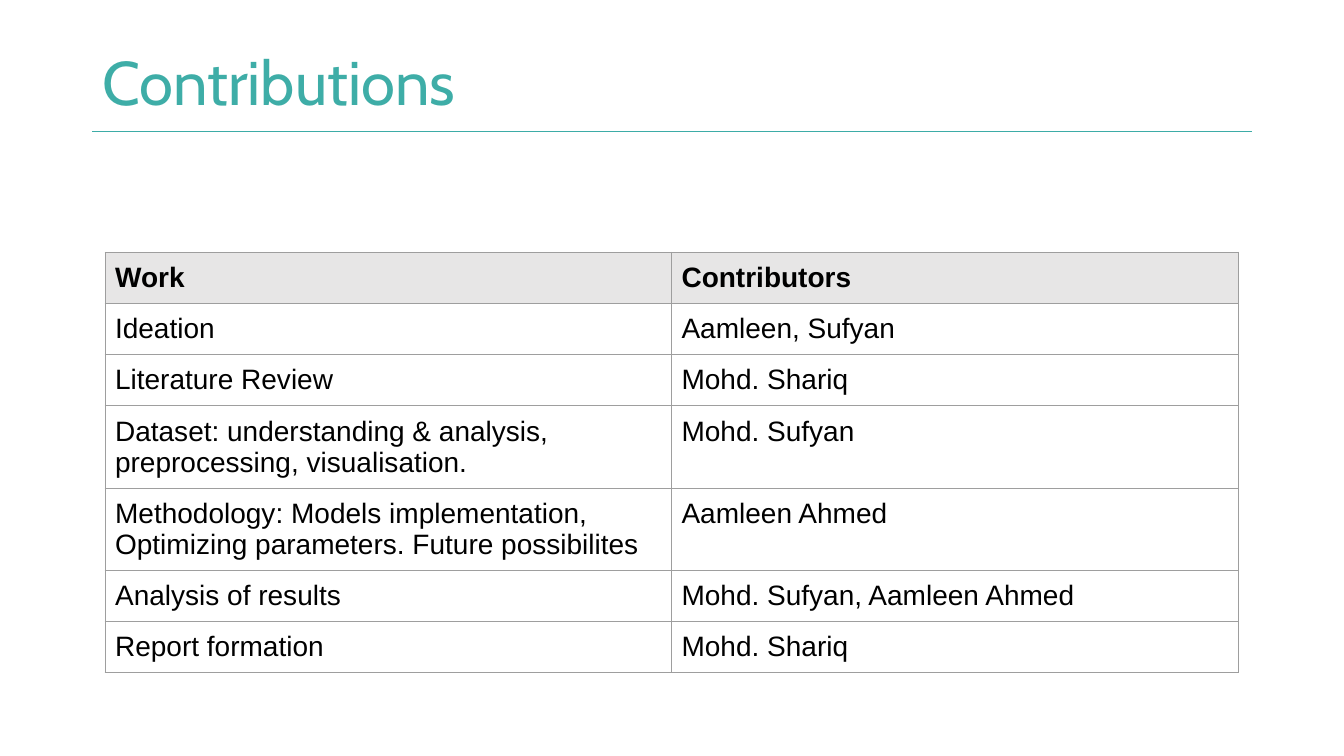
from lxml.etree import SubElement
from pptx import Presentation
from pptx.dml.color import RGBColor
from pptx.enum.shapes import MSO_CONNECTOR
from pptx.enum.text import MSO_ANCHOR, MSO_AUTO_SIZE, PP_ALIGN
from pptx.oxml.ns import qn
from pptx.util import Cm, Pt

COLOURS = {
    "title": "3EADA7",
    "rule": "3DACA7",
    "text": "000000",
    "header": "E7E6E6",
    "border": "9E9E9E",
}
CONTRIBUTIONS = [
    ("Work", "Contributors"),
    ("Ideation", "Aamleen, Sufyan"),
    ("Literature Review", "Mohd. Shariq"),
    ("Dataset: understanding & analysis, preprocessing, visualisation.", "Mohd. Sufyan"),
    ("Methodology: Models implementation, Optimizing parameters. Future possibilites",
     "Aamleen Ahmed"),
    ("Analysis of results", "Mohd. Sufyan, Aamleen Ahmed"),
    ("Report formation", "Mohd. Shariq"),
]


def colour(name):
    """Return the named colour of the palette."""
    return RGBColor.from_string(COLOURS[name])


def format_text(paragraph, typeface, size, colour_name, bold=False):
    """Format every run of a paragraph."""
    for run in paragraph.runs:
        run.font.name = typeface
        run.font.size = Pt(size)
        run.font.bold = bold
        run.font.color.rgb = colour(colour_name)


def add_heading(slide, left, top, width, height):
    """Fill the title placeholder and rule off the foot of the box."""
    rule = slide.shapes.add_connector(
        MSO_CONNECTOR.STRAIGHT, left, top + height, left + width, top + height)
    rule.line.color.rgb = colour("rule")
    rule.line.width = Pt(0.75)
    SubElement(rule._element.spPr, qn("a:effectLst"))

    title = slide.shapes.title
    title.left, title.top = left, top
    title.width, title.height = width - Cm(2.97), height
    frame = title.text_frame
    frame.text = "Contributions"
    frame.word_wrap = True
    frame.auto_size = MSO_AUTO_SIZE.NONE
    frame.vertical_anchor = MSO_ANCHOR.MIDDLE
    heading = frame.paragraphs[0]
    heading.alignment = PP_ALIGN.LEFT
    heading.line_spacing = 0.9
    format_text(heading, "Cabin", 44, "title")


def add_borders(cell):
    """Draw a thin line on all four sides of a cell."""
    properties = cell._tc.get_or_add_tcPr()
    for side in ("lnL", "lnR", "lnT", "lnB"):
        border = SubElement(properties, qn(f"a:{side}"), w=str(Pt(0.75)))
        fill = SubElement(border, qn("a:solidFill"))
        SubElement(fill, qn("a:srgbClr"), val=COLOURS["border"])


def format_cell(cell, is_header):
    """Give a cell its margins, borders, fill and text format."""
    cell.margin_left = cell.margin_right = Cm(0.25)
    cell.margin_top = cell.margin_bottom = Cm(0.25)
    add_borders(cell)
    if is_header:
        cell.fill.solid()
        cell.fill.fore_color.rgb = colour("header")
    else:
        cell.fill.background()
    format_text(cell.text_frame.paragraphs[0], "Arial", 20, "text", is_header)


def add_contributions(slide, left, top, width, height):
    """Place the table of work and contributors in the box."""
    table = slide.shapes.add_table(
        len(CONTRIBUTIONS), len(CONTRIBUTIONS[0]), left, top, width, height).table
    table.horz_banding = False
    for row, entry in enumerate(CONTRIBUTIONS):
        for column, wording in enumerate(entry):
            cell = table.cell(row, column)
            cell.text_frame.text = wording
            format_cell(cell, row == 0)


def main():
    """Build the contributions slide and save it."""
    presentation = Presentation()
    presentation.slide_width = Cm(33.87)
    presentation.slide_height = Cm(19.05)
    slide = presentation.slides.add_slide(presentation.slide_layouts[5])
    add_heading(slide, Cm(2.33), Cm(1.02), Cm(29.21), Cm(2.29))
    add_contributions(slide, Cm(2.65), Cm(6.36), Cm(28.55), Cm(7.47))
    presentation.save("out.pptx")


if __name__ == "__main__":
    main()
